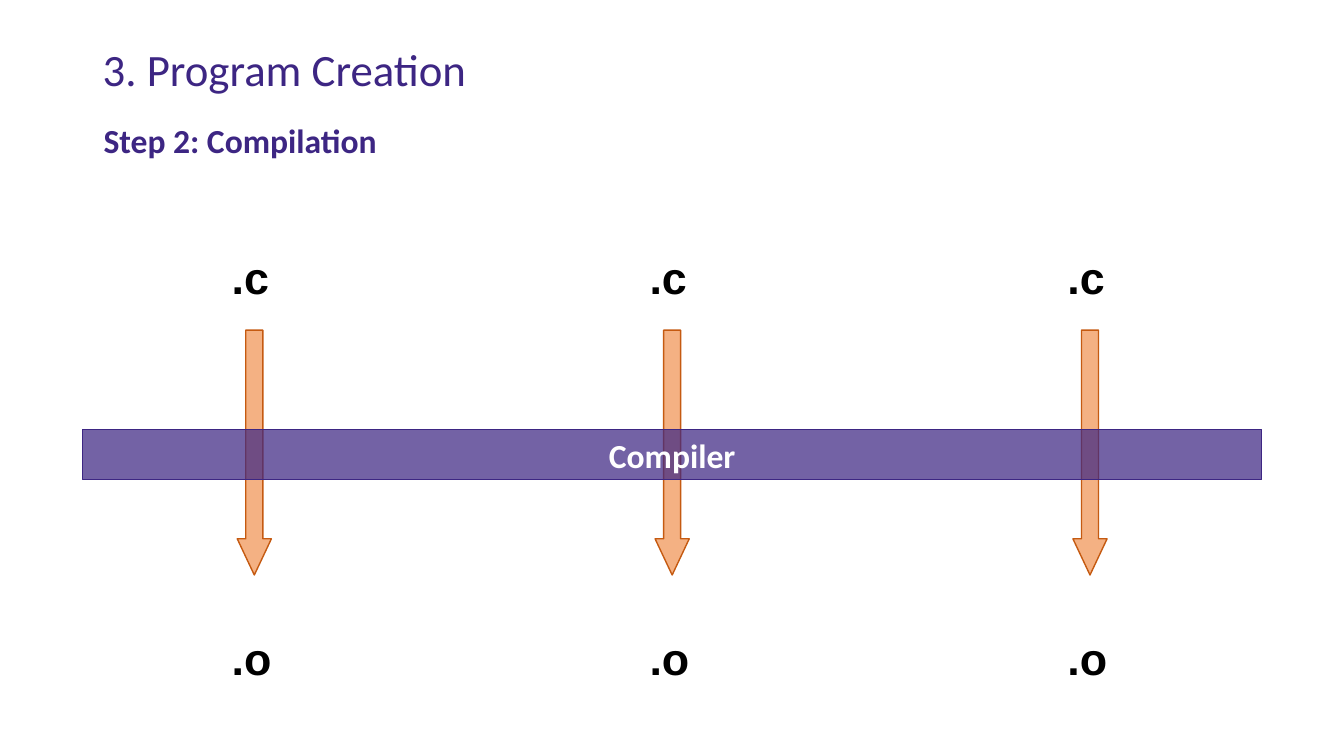
"""Builds the slide on the compilation step of program creation."""
from lxml.etree import SubElement
from pptx import Presentation
from pptx.dml.color import RGBColor
from pptx.enum.shapes import MSO_SHAPE
from pptx.enum.text import MSO_ANCHOR, PP_ALIGN
from pptx.oxml.ns import qn
from pptx.util import Cm, Pt

COLORS = {"purple": "3D2683", "orange": "F4B183", "rust": "C55A11",
          "black": "000000", "white": "FFFFFF"}
HEADING = {"name": "Calibri", "size": Pt(32), "bold": False}
STEP = {"name": "Calibri", "size": Pt(24), "bold": True}
FILE_TYPE = {"name": "Arial", "size": Pt(32), "bold": True}


def write(s, text, style, color, anchor=MSO_ANCHOR.TOP):
    tf = s.text_frame
    tf.word_wrap = True
    tf.vertical_anchor = anchor
    p = tf.paragraphs[0]
    r = p.add_run()
    r.text = text
    for name, value in style.items():
        setattr(r.font, name, value)
    r.font.color.rgb = RGBColor.from_string(COLORS[color])
    return p


def add_block(kind, left, top, width, height, fill, line):
    s = sp.add_shape(kind, Cm(left), Cm(top), Cm(width), Cm(height))
    s.shadow.inherit = False
    s.fill.solid()
    s.fill.fore_color.rgb = RGBColor.from_string(COLORS[fill])
    s.line.color.rgb = RGBColor.from_string(COLORS[line])
    s.line.width = Pt(1)
    return s


prs = Presentation()
prs.slide_width, prs.slide_height = Cm(33.87), Cm(19.05)
sp = prs.slides.add_slide(prs.slide_layouts[6]).shapes

title = sp.add_textbox(Cm(2.34), Cm(1.02), Cm(29.21), Cm(1.6))
p = write(title, "3. Program Creation", HEADING, "purple", MSO_ANCHOR.MIDDLE)
p.line_spacing = 0.9

subtitle = sp.add_textbox(Cm(2.36), Cm(2.9), Cm(29.72), Cm(1.27))
write(subtitle, "Step 2: Compilation", STEP, "purple")

for column in range(3):
    x = 5.59 + column * 10.53
    for text, y in ((".c", 6.18), (".o", 15.78)):
        label = sp.add_textbox(Cm(x), Cm(y), Cm(1.63), Cm(1.63))
        write(label, text, FILE_TYPE, "black")
    arrow = add_block(MSO_SHAPE.DOWN_ARROW, x + 0.39, 8.32, 0.86, 6.17, "orange", "rust")
    arrow.adjustments[1] = 1.06

compiler = add_block(MSO_SHAPE.RECTANGLE, 2.08, 10.82, 29.72, 1.27, "purple", "purple")
color = compiler.fill._xPr.find(qn("a:solidFill"))[0]
SubElement(color, qn("a:alpha"), val="72000")
p = write(compiler, "Compiler", STEP, "white", MSO_ANCHOR.MIDDLE)
p.alignment = PP_ALIGN.CENTER

prs.save("out.pptx")
